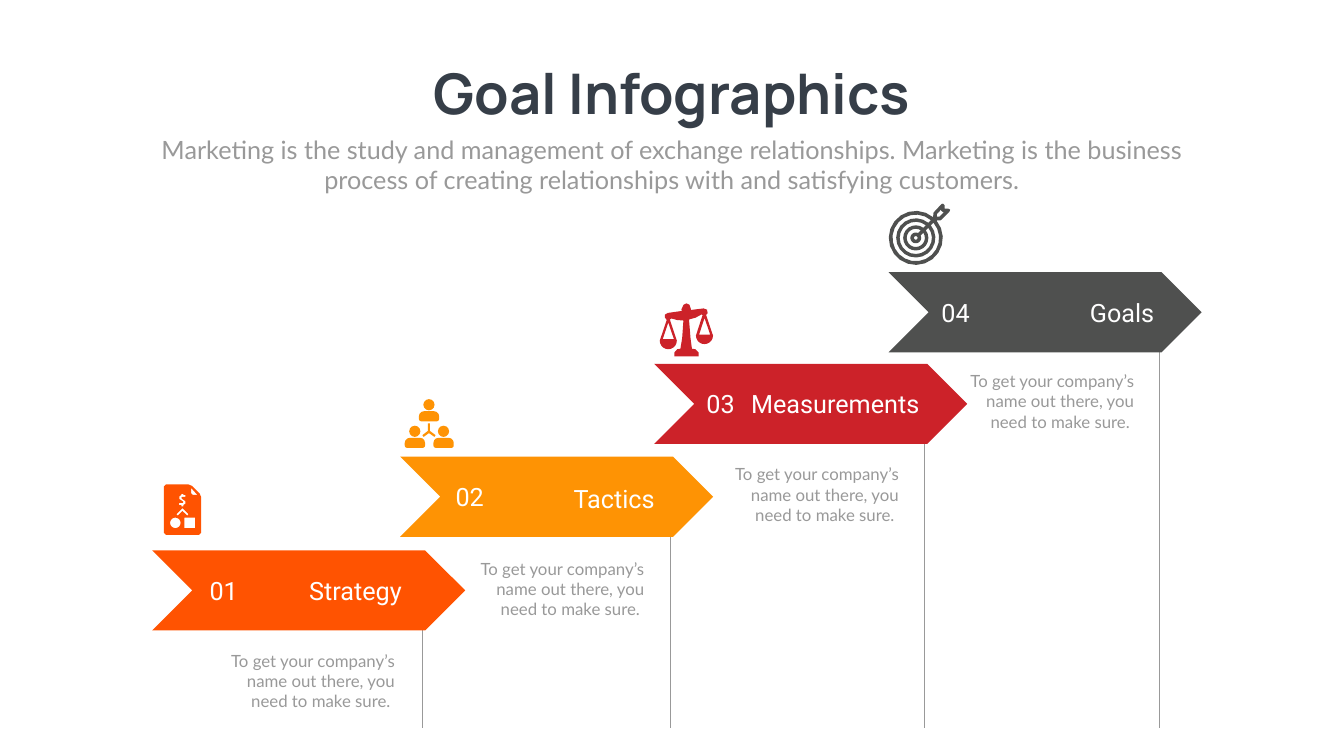
from math import asin, cos, degrees, dist, radians, sin

from lxml import etree
from pptx import Presentation
from pptx.dml.color import RGBColor
from pptx.enum.shapes import MSO_CONNECTOR, MSO_SHAPE
from pptx.enum.text import MSO_ANCHOR, MSO_AUTO_SIZE, PP_ALIGN
from pptx.oxml.ns import qn
from pptx.util import Pt

LINE = MSO_CONNECTOR.STRAIGHT
ARROW = MSO_SHAPE.CHEVRON
OVAL = MSO_SHAPE.OVAL
DOME = MSO_SHAPE.ROUND_2_SAME_RECTANGLE
TOP = MSO_ANCHOR.TOP
FIXED = MSO_AUTO_SIZE.NONE
LEFT, MID, RIGHT = PP_ALIGN.LEFT, PP_ALIGN.CENTER, PP_ALIGN.RIGHT

COLORS = {
    "title": "363E48", "gray": "999999", "white": "FFFFFF",
    "orange": "FF5301", "amber": "FE9304", "red": "CC2229", "dark": "4F504F",
}
NOTE = "To get your company’s name out there, you need to make sure. "
INTRO = ("Marketing is the study and management of exchange relationships. "
         "Marketing is the business process of creating relationships with "
         "and satisfying customers.")
STEPS = [
    ("01", "Strategy", "orange", (217.4, 786.2), (292.3, 818.6),
     (421.2, 818.6, 160), (315.4, 925.9)),
    ("02", "Tactics", "amber", (571.7, 652.3), (643.7, 684),
     (728.6, 686.2, 213.8), (671.8, 794.2)),
    ("03", "Measurements", "red", (934.6, 519.8), (1002.2, 551.5),
     (1062, 551.5, 258.5), (1035.4, 659.5)),
    ("04", "Goals", "dark", (1269.4, 388.8), (1337.8, 420.5),
     (1397.5, 420.5, 258.5), (1371.6, 526.3)),
]


def color(name):
    return RGBColor.from_string(COLORS[name])


def write(box, text, size, font, tint, align, bold=False):
    frame = box.text_frame
    frame.auto_size = FIXED
    frame.vertical_anchor = TOP
    frame.word_wrap = True
    frame.text = text
    line = frame.paragraphs[0]
    line.alignment = align
    style = line.runs[0].font
    style.size = Pt(size)
    style.name = font
    style.bold = bold
    style.color.rgb = color(tint)


def add_title(slide):
    title = slide.shapes.title
    title.left, title.top = Pt(583.2), Pt(80.6)
    title.width, title.height = Pt(753.8), Pt(104.4)
    write(title, "Goal Infographics", 80, "Manrope", "title", MID, True)
    title.text_frame.word_wrap = False


def add_text(slide, place, text, size, font, tint, align):
    box = slide.shapes.add_textbox(*map(Pt, place))
    write(box, text, size, font, tint, align)


def paint(shape, tint):
    shape.shadow.inherit = False
    shape.fill.solid()
    shape.fill.fore_color.rgb = color(tint)
    shape.line.fill.background()


def add_block(slide, kind, place, tint):
    shape = slide.shapes.add_shape(kind, *map(Pt, place))
    paint(shape, tint)
    return shape


def add_post(slide, x, top):
    post = slide.shapes.add_connector(LINE, Pt(x), Pt(top), Pt(x), Pt(1040.4))
    post.line.color.rgb = color("gray")
    post.line.width = Pt(0.5)
    etree.SubElement(post._element.spPr, qn("a:effectLst"))


def add_step(slide, step):
    mark, name, tint, spot, start, (left, top, width), note = step
    add_block(slide, ARROW, (*spot, 447.1, 114.5), tint)
    add_text(slide, (*start, 143.3, 46), mark, 36, "Roboto", "white", LEFT)
    add_text(slide, (left, top, width, 51), name, 36, "Roboto", "white", RIGHT)
    add_text(slide, (*note, 255.6, 86.4), NOTE, 24, "Lato", "gray", RIGHT)


def add_form(slide, start, paths, tint):
    x, y = start
    paths = [[(Pt(x + a), Pt(y + b)) for a, b in path] for path in paths]
    form = slide.shapes.build_freeform(*paths[0][0], scale=1.0)
    form.add_line_segments(paths[0][1:], close=True)
    for path in paths[1:]:
        form.move_to(*path[0])
        form.add_line_segments(path[1:], close=True)
    paint(form.convert_to_shape(), tint)


def arc(x, y, size, start, end):
    count = round(abs(end - start) / 18)
    turns = [radians(start + (end - start) * i / count) for i in range(count + 1)]
    return [(x + size * cos(t), y + size * sin(t)) for t in turns]


def disc(x, y, size):
    return arc(x, y, size, 0, 342)


def band(x, y, outer, inner):
    wide, slim = (degrees(asin(2.5 / size)) for size in (outer, inner))
    return (arc(x, y, outer, wide - 45, 315 - wide)
            + arc(x, y, inner, 315 - slim, slim - 45))


def trim(points, size):
    path = []
    for i, point in enumerate(points):
        for near in (points[i - 1], points[(i + 1) % len(points)]):
            part = size / dist(point, near)
            path.append(tuple(p + (n - p) * part for p, n in zip(point, near)))
    return path


def draw_plan(slide):
    page = [(0, 0), (38, 0), (53.5, 15.5), (53.5, 72), (0, 72)]
    money = [(25, 13.5), (28, 13.5), (28, 15), (31, 15), (31, 18), (26, 18),
             (25, 19.5), (26.5, 21), (31, 24), (31, 27.5), (28, 29.5),
             (28, 31.5), (25, 31.5), (25, 29.5), (22, 29.5), (22, 26.6),
             (27, 26.6), (28, 25), (26.5, 23.8), (22.3, 21), (22.3, 17), (25, 15)]
    roof = [(18, 42.5), (26.6, 34), (35.3, 42.5), (33.5, 44.7), (26.6, 38), (20, 44.7)]
    block = [(29.5, 47.5), (44.6, 47.5), (44.6, 62.6), (29.5, 62.6)]
    fold = [(38.9, 5), (48, 15), (41.5, 15), (38.9, 12.5)]
    paths = [trim(page, 3), money, roof, block, fold, disc(16.5, 55, 7.5)]
    add_form(slide, (234, 692), paths, "orange")


def draw_team(slide):
    left, top = 578.2, 570.2
    for x, y in ((20.2, 0), (0, 38), (41, 38)):
        add_block(slide, OVAL, (left + x + 6.4, top + y, 16, 16), "amber")
        torso = add_block(slide, DOME, (left + x, top + y + 17.3, 29, 14.4), "amber")
        torso.adjustments[0] = 0.5
        torso.adjustments[1] = 0.25
    fork = [(33.1, 34.6), (36, 34.6), (36, 45.4), (44, 51.5), (42.5, 54),
            (34.6, 48.5), (27, 54), (25.2, 51.5), (33.1, 45.4)]
    add_form(slide, (left, top), [fork], "amber")


def draw_scale(slide):
    stand = [(14.4, 23), (16.6, 21.6), (25, 23.8), (33.8, 24.5), (32, 50),
             (29.5, 64.8), (25, 65.5), (21, 70), (21, 75.6), (55.4, 75.6),
             (55.4, 70), (51, 65.5), (46, 64.8), (44, 50), (41.8, 23),
             (51, 20.5), (59.8, 15.8), (61.2, 16.6)]
    beam = [(66.2, 16.6), (68.4, 14), (67.5, 9), (62.6, 7.2), (44.6, 9.4),
            (44.6, 8.6), (42.5, 2), (38, 0), (34, 2), (31, 8.6), (31.7, 10.8),
            (11.5, 13.7), (7.5, 16), (7.2, 20), (10, 23.8)]
    rim = (arc(12.2, 53.3, 12.2, 180, 0) + stand
           + arc(63.9, 46, 12.2, 180, 0) + beam)
    holes = [[(20.2, 51), (4.3, 51), (12.2, 27.4)],
             [(56.2, 44.6), (64, 20.9), (72, 44.6)]]
    add_form(slide, (942.5, 433.4), [rim, *holes], "red")


def draw_goal(slide):
    x, y = 38.9, 49
    dart = [(64, 13.7), (64.8, 12.2), (75.6, 0.7), (77.8, 0), (80, 2.2),
            (80, 7.2), (85, 7.2), (88, 8.6), (87, 11.5), (75.6, 23), (74.2, 23.8)]
    gap = [(69, 18.7), (69, 15), (75, 8.6), (75, 10), (77.8, 12.2),
           (79.2, 12.2), (72.7, 18.7)]
    rings = [band(x, y, *pair) for pair in ((33.3, 28), (23, 18), (13, 7.7))]
    rim = arc(x, y, 38.6, -40, 310) + dart
    add_form(slide, (1269.4, 290.9), [rim, gap, *rings, disc(x, y, 2.6)], "dark")


def main():
    deck = Presentation()
    deck.slide_width, deck.slide_height = Pt(1920), Pt(1080)
    slide = deck.slides.add_slide(deck.slide_layouts[5])
    add_title(slide)
    add_text(slide, (210.2, 187.9, 1499, 94.3), INTRO, 36, "Lato", "gray", MID)
    for step in STEPS:
        x, y = step[3]
        add_post(slide, x + 386, y + 57)
    for step in STEPS:
        add_step(slide, step)
    for draw in (draw_plan, draw_team, draw_scale, draw_goal):
        draw(slide)
    deck.save("out.pptx")


if __name__ == "__main__":
    main()
